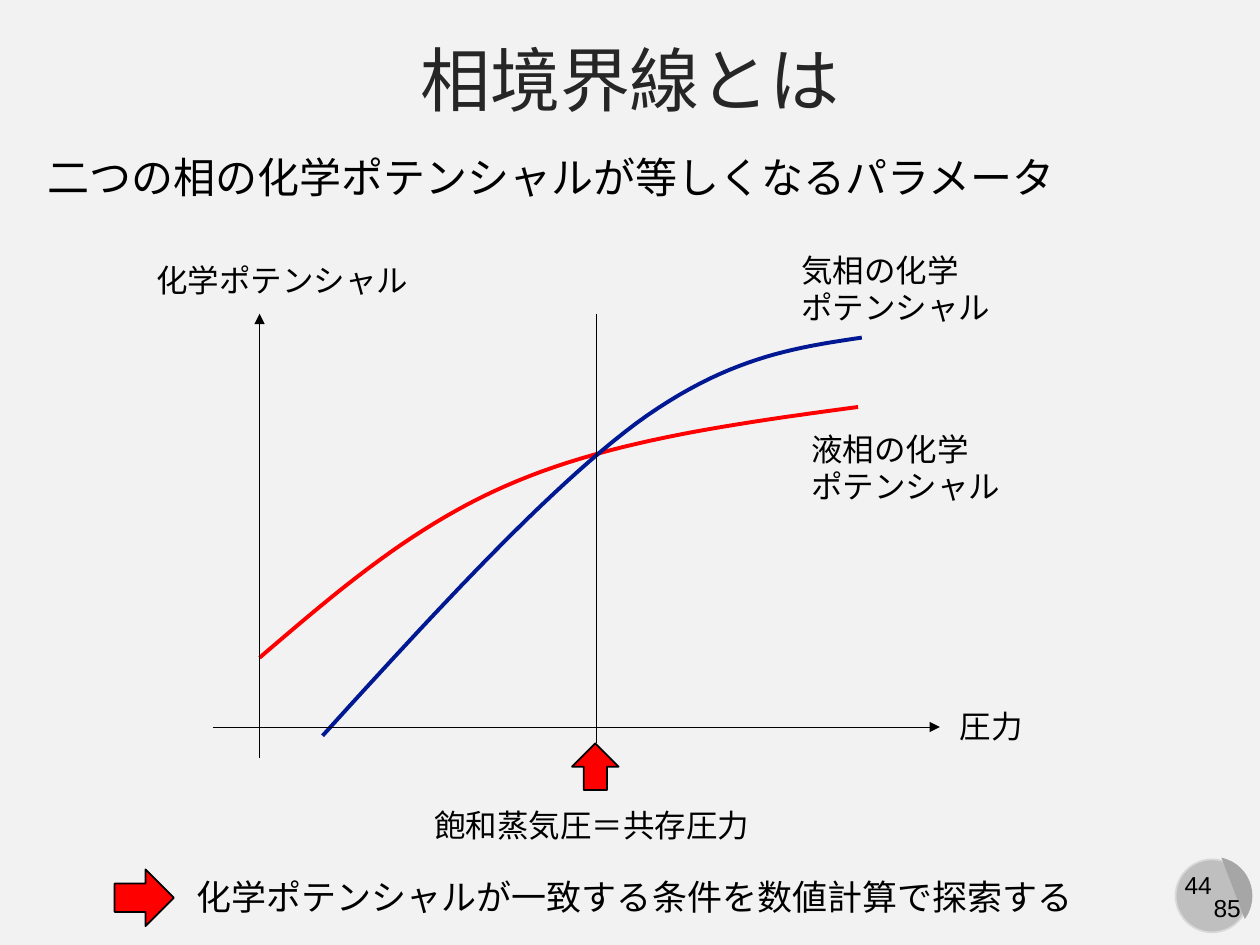
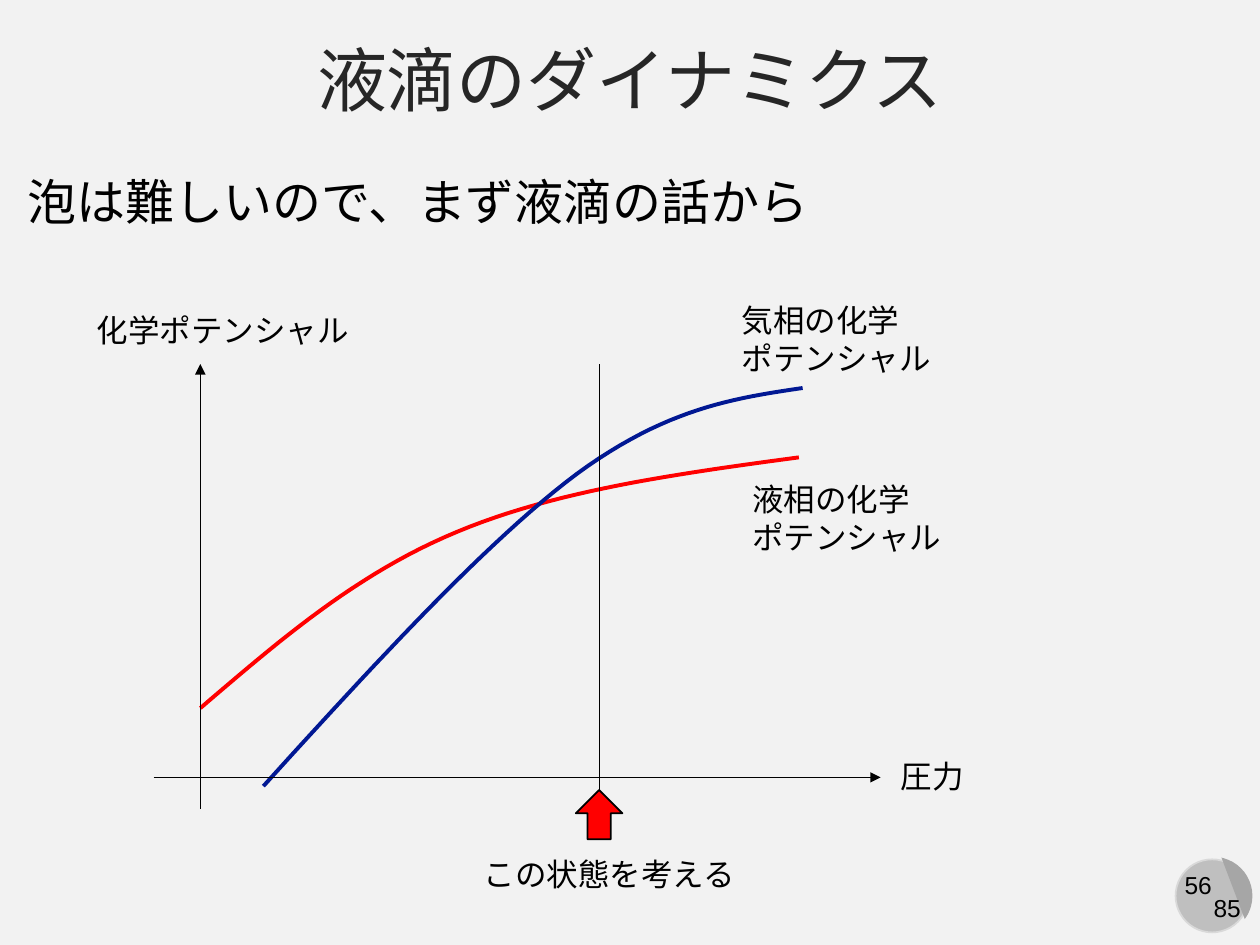
from lxml.etree import SubElement
from pptx import Presentation
from pptx.dml.color import RGBColor
from pptx.enum.shapes import MSO_CONNECTOR, MSO_SHAPE
from pptx.enum.text import MSO_ANCHOR, MSO_AUTO_SIZE, PP_ALIGN
from pptx.oxml.ns import qn
from pptx.util import Inches, Pt

# Shared look
FONT = "Arial"
BLACK, RED, NAVY = "000000", "FF0000", "011893"
PAPER, TITLE_INK = "F2F2F2", "262626"
BADGE, BADGE_EDGE, BADGE_SHADE = "BFBFBF", "D9D9D9", "A6A6A6"
WIDTH, HEIGHT = 10, 7.5
TOTAL_PAGES = "85"

# Bezier points of the two curves, in inches from the crossing of the axes
LIQUID_CURVE = [(0, -0.55), (0.62, -1.08), (1.24, -1.62), (2.04, -1.95),
                (2.83, -2.28), (3.79, -2.41), (4.75, -2.54)]
GAS_CURVE = [(0.5, 0.07), (1.39, -0.91), (2.28, -1.88), (2.99, -2.41),
             (3.7, -2.93), (4.24, -3.01), (4.78, -3.09)]
AXIS_TOP = -3.28


def rgb(code):
    return RGBColor.from_string(code)


def inches(*values):
    return [Inches(v) for v in values]


# Basic parts
def style_text(p, size, color=BLACK, align=PP_ALIGN.LEFT):
    p.alignment = align
    p.font.name = FONT
    p.font.size = Pt(size)
    p.font.color.rgb = rgb(color)


def add_text(s, box, text, size=18, align=PP_ALIGN.LEFT):
    tf = s.shapes.add_textbox(*inches(*box)).text_frame
    tf.word_wrap = False
    tf.auto_size = MSO_AUTO_SIZE.SHAPE_TO_FIT_TEXT
    tf.text = text
    for p in tf.paragraphs:
        style_text(p, size, align=align)


def add_solid(s, kind, box, fill, line=None, rotation=0):
    sp = s.shapes.add_shape(kind, *inches(*box))
    sp.shadow.inherit = False
    sp.rotation = rotation
    sp.fill.solid()
    sp.fill.fore_color.rgb = rgb(fill)
    if line:
        sp.line.color.rgb = rgb(line)
        sp.line.width = Pt(1)
    else:
        sp.line.fill.background()
    return sp


def add_line(s, start, end, arrow=False):
    c = s.shapes.add_connector(MSO_CONNECTOR.STRAIGHT, *inches(*start, *end))
    c.line.color.rgb = rgb(BLACK)
    c.line.width = Pt(0.5)
    sp_pr = c.element.spPr
    if arrow:
        SubElement(sp_pr.find(qn("a:ln")), qn("a:tailEnd"), type="triangle")
    SubElement(sp_pr, qn("a:effectLst"))


def bezier(points, steps=24):
    """Sample a chain of cubic segments that share their end points."""
    out = [points[0]]
    for i in range(0, len(points) - 1, 3):
        for n in range(1, steps + 1):
            t = n / steps
            weights = ((1 - t) ** 3, 3 * t * (1 - t) ** 2,
                       3 * t ** 2 * (1 - t), t ** 3)
            out.append(tuple(sum(w * pt[axis] for w, pt in zip(weights, points[i:i + 4]))
                             for axis in (0, 1)))
    return out


def add_curve(s, origin, points, color):
    ox, oy = origin
    start, *rest = [inches(ox + x, oy + y) for x, y in bezier(points)]
    builder = s.shapes.build_freeform(*start)
    builder.add_line_segments(rest, close=False)
    sp = builder.convert_to_shape()
    sp.shadow.inherit = False
    sp.fill.background()
    sp.line.color.rgb = rgb(color)
    sp.line.width = Pt(2.25)


# Regions
def add_title(s, text):
    title = s.shapes.title
    title.left, title.top, title.width, title.height = inches(0, 0.21, WIDTH, 0.82)
    tf = title.text_frame
    tf.auto_size = MSO_AUTO_SIZE.NONE
    tf.vertical_anchor = MSO_ANCHOR.MIDDLE
    tf.text = text
    style_text(tf.paragraphs[0], 40, TITLE_INK, PP_ALIGN.CENTER)


def add_page_badge(s, page, left=9.33, top=6.82):
    add_solid(s, MSO_SHAPE.OVAL, (left, top, 0.58, 0.58), BADGE, BADGE_EDGE)
    chord = add_solid(s, MSO_SHAPE.CHORD, (left - 0.01, top - 0.02, 0.62, 0.62),
                      BADGE_SHADE, rotation=255)
    chord.adjustments[0], chord.adjustments[1] = 16.2, 84.85
    add_text(s, (left - 0.04, top + 0.04, 0.44, 0.34), page, 14, PP_ALIGN.CENTER)
    add_text(s, (left + 0.2, top + 0.22, 0.42, 0.34), TOTAL_PAGES, 14, PP_ALIGN.CENTER)


def add_potential_plot(s, origin, marker_x, marker_end):
    """Axes, curves and labels around the crossing of the axes."""
    ox, oy = origin
    labels = [((4.28, -2.41, 1.72, 0.71), "液相の化学\nポテンシャル"),
              ((4.2, -3.83, 1.72, 0.71), "気相の化学\nポテンシャル"),
              ((-0.92, -3.75, 2.22, 0.4), "化学ポテンシャル"),
              ((5.46, -0.21, 0.71, 0.4), "圧力")]
    for (x, y, w, h), text in labels:
        add_text(s, (ox + x, oy + y, w, h), text)
    add_curve(s, origin, LIQUID_CURVE, RED)
    add_curve(s, origin, GAS_CURVE, NAVY)
    add_line(s, (ox, oy + 0.25), (ox, oy + AXIS_TOP), arrow=True)
    add_line(s, (ox - 0.37, oy), (ox + 5.4, oy), arrow=True)
    add_line(s, (marker_x, oy + AXIS_TOP), (marker_x, marker_end))


def new_slide(prs, title, page):
    s = prs.slides.add_slide(prs.slide_layouts[5])
    add_page_badge(s, page)
    add_title(s, title)
    return s


# Slides
def phase_boundary_slide(prs):
    s = new_slide(prs, "相境界線とは", "44")
    add_text(s, (0.28, 1.15, 8.28, 0.5), "二つの相の化学ポテンシャルが等しくなるパラメータ", 24)
    add_potential_plot(s, (2.06, 5.77), marker_x=4.73, marker_end=5.9)
    add_solid(s, MSO_SHAPE.UP_ARROW, (4.54, 5.9, 0.37, 0.37), RED, BLACK)
    add_text(s, (3.35, 6.35, 2.73, 0.4), "飽和蒸気圧＝共存圧力")
    add_solid(s, MSO_SHAPE.RIGHT_ARROW, (0.91, 6.9, 0.47, 0.45), RED, BLACK)
    add_text(s, (1.46, 6.9, 7.21, 0.44), "化学ポテンシャルが一致する条件を数値計算で探索する", 20)


def droplet_slide(prs):
    s = new_slide(prs, "液滴のダイナミクス", "56")
    add_text(s, (0.12, 1.31, 6.48, 0.57), "泡は難しいので、まず液滴の話から", 28)
    add_potential_plot(s, (1.59, 6.17), marker_x=4.76, marker_end=6.35)
    add_text(s, (3.74, 6.74, 2.22, 0.4), "この状態を考える")
    add_solid(s, MSO_SHAPE.RIGHT_ARROW, (4.56, 6.28, 0.39, 0.37), RED, BLACK, rotation=270)


prs = Presentation()
prs.slide_width, prs.slide_height = inches(WIDTH, HEIGHT)
paper = prs.slide_master.background.fill
paper.solid()
paper.fore_color.rgb = rgb(PAPER)
phase_boundary_slide(prs)
droplet_slide(prs)
prs.save("out.pptx")
